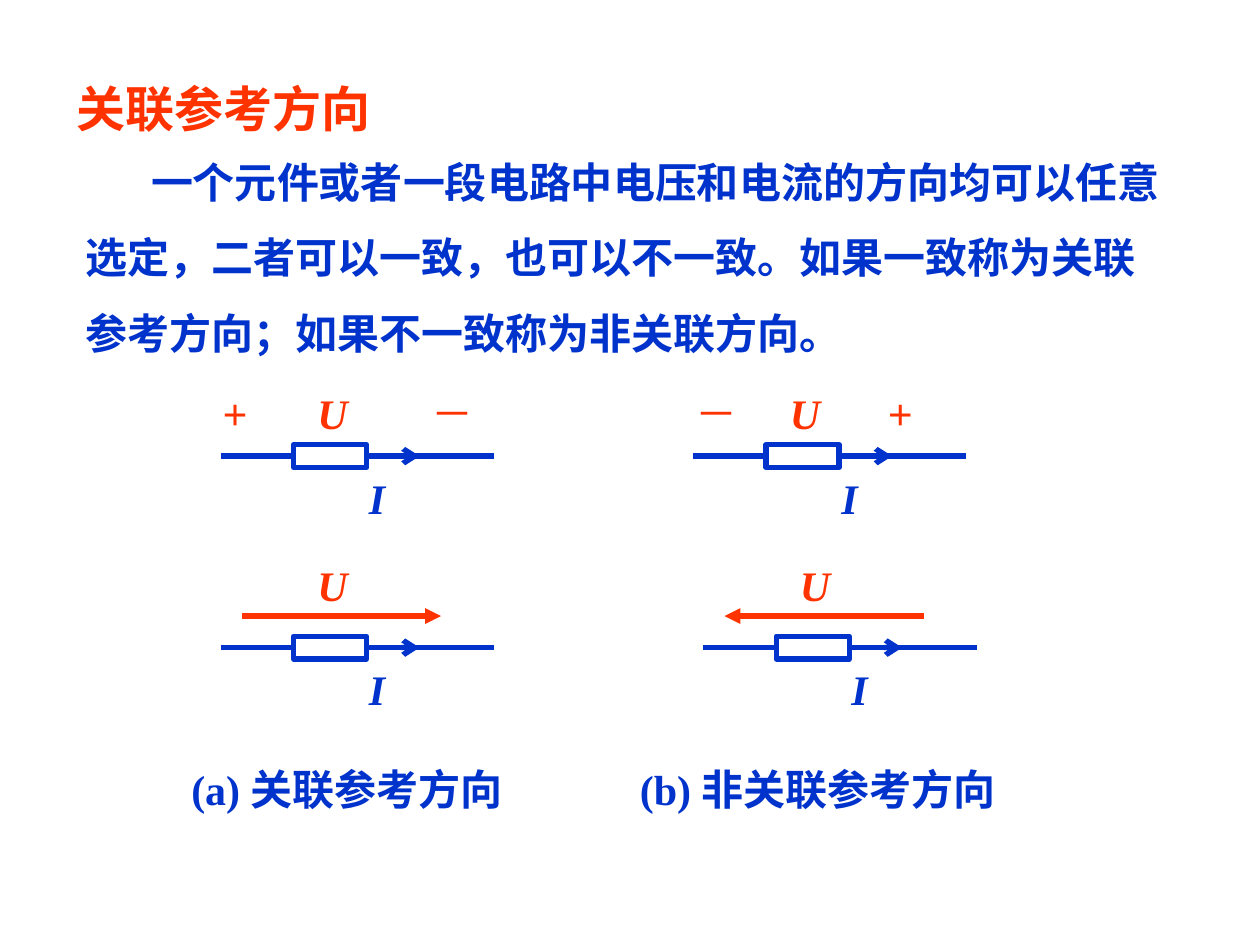
from lxml import etree
from pptx import Presentation
from pptx.dml.color import RGBColor
from pptx.enum.shapes import MSO_CONNECTOR, MSO_SHAPE
from pptx.enum.text import MSO_ANCHOR, MSO_AUTO_SIZE, PP_ALIGN
from pptx.oxml.ns import qn
from pptx.util import Inches, Pt

LINE, RECT = MSO_CONNECTOR.STRAIGHT, MSO_SHAPE.RECTANGLE
TOP, LEFT, FIXED = MSO_ANCHOR.TOP, PP_ALIGN.LEFT, MSO_AUTO_SIZE.NONE
RIGHT_SIDE = 3

RED, BLUE, WHITE = "FF3300", "0033CC", "FFFFFF"
SANS, SERIF = "Arial", "Times New Roman"
HEAD = dict(name=SANS, size=Pt(28), bold=True, color=RED)
BODY = dict(name=SANS, size=Pt(24), bold=True, color=BLUE)
LABEL = BODY | dict(name=SERIF)
CURRENT = LABEL | dict(italic=True)
VOLTAGE = CURRENT | dict(color=RED)
SIGN = BODY | dict(bold=False, color=RED)

TITLE = "关联参考方向"
TEXT = ("一个元件或者一段电路中电压和电流的方向均可以任意选定，二者可以一致，"
        "也可以不一致。如果一致称为关联参考方向；如果不一致称为非关联方向。")
# Signs over the element: left edge, left sign, right sign, tab stop
SIGNED = [(1.75, "+", "－", 1.66), (5.5, "－", "+", 1.53)]
# Voltage arrow over the element: left edge, start and end offsets
ARROWED = [(1.75, 0.17, 1.75), (5.58, 1.75, 0.17)]
SIGN_ROW, ARROW_ROW = 3.62, 5.14
NOTES = [(1.42, 2.83, "(a) ", "关联参考方向"), (4.98, 3.25, "(b) ", "非关联参考方向")]
NOTE_TOP, ROW = 6.01, 0.5


def rgb(code):
    return RGBColor.from_string(code)


def style(font, form):
    for key, val in form.items():
        if key == "color":
            font.color.rgb = rgb(val)
        else:
            setattr(font, key, val)


def fill_text(shape, *runs):
    """Write (text, format) runs into the first paragraph and return it."""
    frame = shape.text_frame
    frame.word_wrap, frame.auto_size, frame.vertical_anchor = True, FIXED, TOP
    par = frame.paragraphs[0]
    par.alignment = LEFT
    for text, form in runs:
        run = par.add_run()
        run.text = text
        style(run.font, form)
    return par


def add_text(x, y, wide, high, *runs):
    box = slide.shapes.add_textbox(*map(Inches, (x, y, wide, high)))
    return fill_text(box, *runs)


def add_line(x1, x2, y, color, tip=None):
    line = slide.shapes.add_connector(LINE, *map(Inches, (x1, y, x2, y)))
    line.line.color.rgb, line.line.width = rgb(color), Pt(3)
    if tip:
        etree.SubElement(line.line._get_or_add_ln(), qn("a:tailEnd"), type=tip)
    etree.SubElement(line._element.spPr, qn("a:effectLst"))
    return line


def add_part(x, y, rise):
    """Draw a resistor on its wire, with current arrow and both letters."""
    add_line(x, x + 2.17, y, BLUE)
    body = slide.shapes.add_shape(
        RECT, *map(Inches, (x + 0.58, y - 0.09, 0.58, 0.18)))
    body.shadow.inherit = False
    body.fill.solid()
    body.fill.fore_color.rgb = rgb(WHITE)
    body.line.color.rgb, body.line.width = rgb(BLUE), Pt(3)
    flow = add_line(x + 1.16, x + 1.58, y, BLUE, "arrow")
    flow.begin_connect(body, RIGHT_SIDE)
    add_text(x + 1.08, y + 0.08, 0.67, ROW, ("I", CURRENT))
    add_text(x + 0.67, y - rise, 0.67, ROW, ("U", VOLTAGE))


def add_tab(par, stop):
    tabs = etree.SubElement(par._p.get_or_add_pPr(), qn("a:tabLst"))
    etree.SubElement(tabs, qn("a:tab"), pos=str(Inches(stop)), algn="l")


deck = Presentation()
deck.slide_width, deck.slide_height = Inches(10), Inches(7.5)
slide = deck.slides.add_slide(deck.slide_layouts[5])

title = slide.shapes.title
place = dict(left=0.51, top=0.57, width=3.25, height=0.58)
for key, val in place.items():
    setattr(title, key, Inches(val))
fill_text(title, (TITLE, HEAD))

par = add_text(0.58, 0.99, 8.75, 1.9, (TEXT, BODY))
par.line_spacing = 1.5
par._p.get_or_add_pPr().set("indent", str(Inches(0.52)))

for x, first, last, stop in SIGNED:
    add_part(x, SIGN_ROW, 0.59)
    par = add_text(x - 0.08, SIGN_ROW - 0.59, 2.25, ROW,
                   (f"{first}\t{last}", SIGN))
    add_tab(par, stop)

for x, start, end in ARROWED:
    add_part(x, ARROW_ROW, 0.75)
    add_line(x + start, x + end, ARROW_ROW - 0.25, RED, "triangle")

for x, wide, mark, name in NOTES:
    add_text(x, NOTE_TOP, wide, ROW, (mark, LABEL), (name, BODY))

deck.save("out.pptx")
